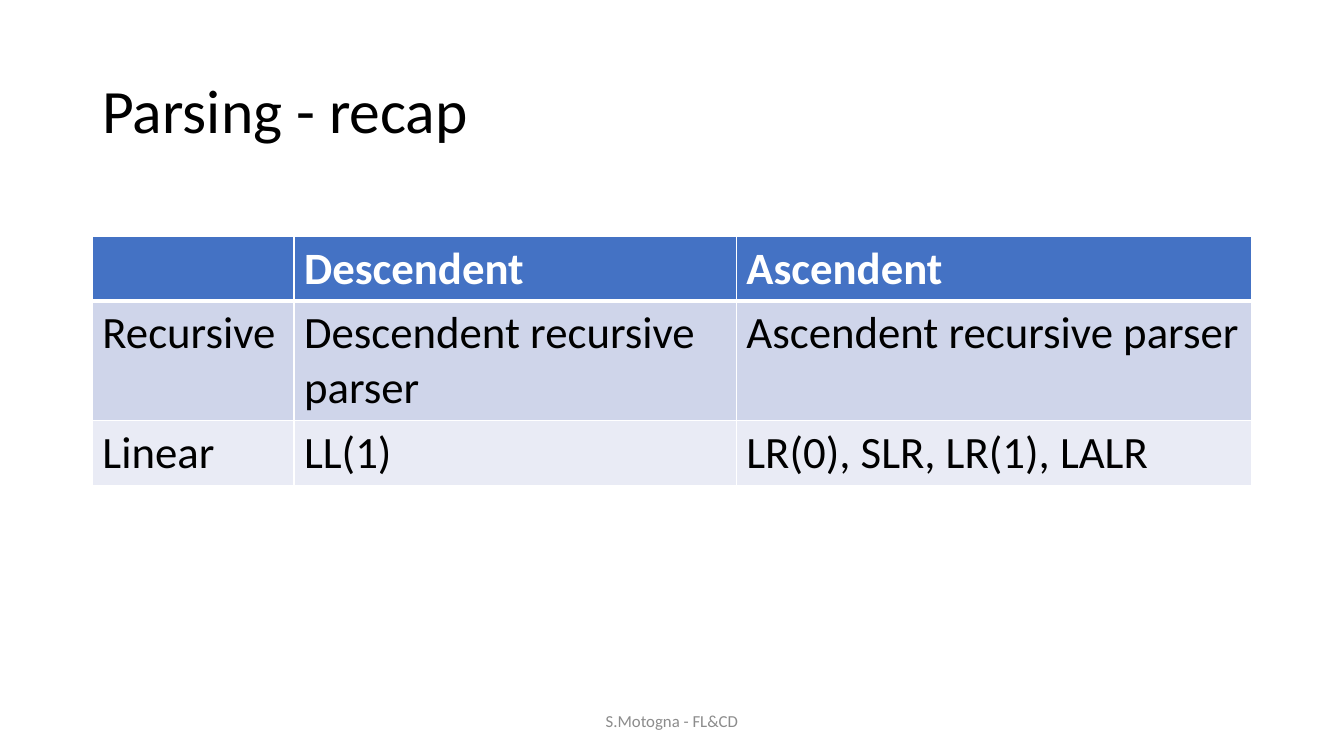
from lxml.etree import SubElement
from pptx import Presentation
from pptx.dml.color import RGBColor
from pptx.enum.text import MSO_ANCHOR, MSO_AUTO_SIZE, PP_ALIGN
from pptx.oxml.ns import qn
from pptx.util import Pt


def rgb(color):
    return RGBColor.from_string(color)


def write(tf, text, size, color="000000", bold=False, align=PP_ALIGN.LEFT,
          anchor=MSO_ANCHOR.TOP, spacing=1.0):
    tf.word_wrap = True
    tf.vertical_anchor = anchor
    p = tf.paragraphs[0]
    p.alignment = align
    p.line_spacing = spacing
    r = p.add_run()
    r.text = text
    r.font.name = "Calibri"
    r.font.size = Pt(size)
    r.font.bold = bold
    r.font.color.rgb = rgb(color)


prs = Presentation()
prs.slide_width, prs.slide_height = Pt(960), Pt(540)
s = prs.slides.add_slide(prs.slide_layouts[5])

title = s.shapes.title
title.left, title.top, title.width, title.height = Pt(66), Pt(28.75), Pt(828), Pt(104.4)
title.text_frame.auto_size = MSO_AUTO_SIZE.NONE
write(title.text_frame, "Parsing - recap", 44, anchor=MSO_ANCHOR.MIDDLE, spacing=0.9)

rows = [
    ["", "Descendent", "Ascendent"],
    ["Recursive", "Descendent recursive parser", "Ascendent recursive parser"],
    ["Linear", "LL(1)", "LR(0), SLR, LR(1), LALR"],
]
fills = ["4472C4", "CFD5EA", "E9EBF5"]
widths = [144, 316, 368]
heights = [46, 85, 46]

table = s.shapes.add_table(3, 3, Pt(66), Pt(168.8), Pt(sum(widths)), Pt(sum(heights))).table
for col, width in zip(table.columns, widths):
    col.width = Pt(width)
for i, texts in enumerate(rows):
    table.rows[i].height = Pt(heights[i])
    header = i == 0
    for j, text in enumerate(texts):
        cell = table.cell(i, j)
        tcPr = cell._tc.get_or_add_tcPr()
        for side in "LRTB":
            thick = (header and side == "B") or (i == 1 and side == "T")
            ln = SubElement(tcPr, qn(f"a:ln{side}"), w=str(Pt(3 if thick else 1)))
            SubElement(SubElement(ln, qn("a:solidFill")), qn("a:srgbClr"), val="FFFFFF")
        cell.fill.solid()
        cell.fill.fore_color.rgb = rgb(fills[i])
        if text:
            write(cell.text_frame, text, 32, "FFFFFF" if header else "000000", bold=header)

footer = s.shapes.add_textbox(Pt(318), Pt(500.5), Pt(324), Pt(28.75))
write(footer.text_frame, "S.Motogna - FL&CD", 12, "8C8C8C",
      align=PP_ALIGN.CENTER, anchor=MSO_ANCHOR.MIDDLE)

prs.save("out.pptx")
